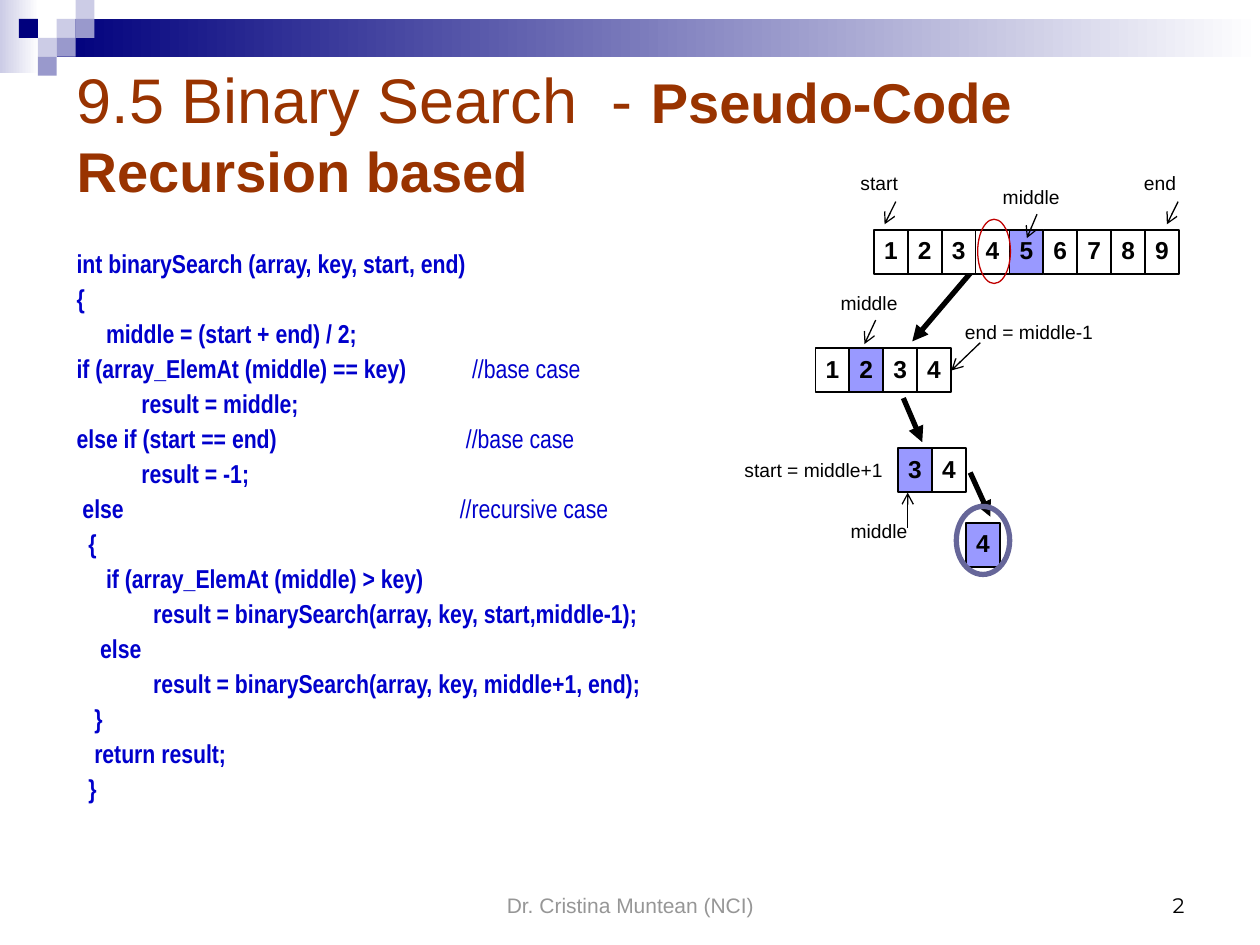
from dataclasses import dataclass

import pptx
import pptx.dml.color
import pptx.enum.shapes
import pptx.enum.text
import pptx.oxml
import pptx.oxml.ns
import pptx.util
from pptx.util import Pt

SHAPES = pptx.enum.shapes.MSO_SHAPE
ALIGN = pptx.enum.text.PP_ALIGN
ANCHOR = pptx.enum.text.MSO_ANCHOR


@dataclass(frozen=True)
class Theme:
    font: str = "Arial"
    code_font: str = "Arial Narrow"
    number_font: str = "Montserrat"
    navy: str = "00007D"
    pale: str = "CCCCE6"
    mid: str = "9999CC"
    white: str = "FFFFFF"
    black: str = "000000"
    grey: str = "969696"
    title: str = "993300"
    code: str = "0000CC"
    highlight: str = "9999FF"
    found: str = "666699"
    target: str = "C00000"
    title_size: float = 36
    subtitle_size: float = 32
    code_size: float = 14.8
    cell_size: float = 14
    footer_size: float = 12
    label_size: float = 11


THEME = Theme()
SQUARE = 10.8
CELL_WIDTH, CELL_HEIGHT = 19.36, 25.2

CODE = [
    ("int binarySearch (array, key, start, end)", "", 0),
    ("{", "", 0),
    ("     middle = (start + end) / 2;", "", 0),
    ("if (array_ElemAt (middle) == key)", "//base case", 226),
    ("           result = middle;", "", 0),
    ("else if (start == end)", "//base case", 222.5),
    ("           result = -1;", "", 0),
    (" else", "//recursive case", 219),
    ("  {", "", 0),
    ("     if (array_ElemAt (middle) > key)", "", 0),
    ("             result = binarySearch(array, key, start,middle-1);", "", 0),
    ("    else", "", 0),
    ("             result = binarySearch(array, key, middle+1, end);", "", 0),
    ("   }", "", 0),
    ("   return result;", "", 0),
    ("  }", "", 0),
]


def rgb(color):
    return pptx.dml.color.RGBColor.from_string(color)


def style(span, size, color, font=THEME.font, bold=False):
    span.font.size = Pt(size)
    span.font.name = font
    span.font.bold = bold
    span.font.color.rgb = rgb(color)


def add_shape(page, kind, left, top, width, height, fill=None, line=None, weight=1):
    shape = page.shapes.add_shape(kind, Pt(left), Pt(top), Pt(width), Pt(height))
    shape.shadow.inherit = False
    if fill:
        shape.fill.solid()
        shape.fill.fore_color.rgb = rgb(fill)
    else:
        shape.fill.background()
    if line:
        shape.line.color.rgb = rgb(line)
        shape.line.width = Pt(weight)
    else:
        shape.line.fill.background()
    return shape


def add_fade(page, left, top, width, height, color):
    bar = add_shape(page, SHAPES.RECTANGLE, left, top, width, height)
    bar.fill.gradient()
    bar.fill.gradient_angle = 0
    for stop, shade in zip(bar.fill.gradient_stops, (color, THEME.white)):
        stop.color.rgb = rgb(shade)


def add_box(page, left, top, width, height, anchor=ANCHOR.TOP):
    box = page.shapes.add_textbox(Pt(left), Pt(top), Pt(width), Pt(height))
    box.text_frame.word_wrap = True
    box.text_frame.vertical_anchor = anchor
    return box


def add_text(page, text, left, top, width, height, size, color,
             font=THEME.font, align=ALIGN.LEFT, anchor=ANCHOR.TOP):
    para = add_box(page, left, top, width, height, anchor).text_frame.paragraphs[0]
    para.text = text
    para.alignment = align
    style(para.runs[0], size, color, font)


def add_label(page, text, left, top, width=54):
    add_text(page, text, left, top, width, 20.6, THEME.label_size, THEME.black)


def add_arrow(page, start, end, weight=0.75, head="arrow"):
    arrow = page.shapes.add_connector(
        pptx.enum.shapes.MSO_CONNECTOR.STRAIGHT, *(Pt(value) for value in start + end))
    arrow.line.color.rgb = rgb(THEME.black)
    arrow.line.width = Pt(weight)
    tip = pptx.oxml.ns.qn("a:tailEnd")
    arrow.line._get_or_add_ln().makeelement
    arrow.line._get_or_add_ln().append(pptx.oxml.parse_xml(
        f'<a:tailEnd {pptx.oxml.ns.nsdecls("a")} type="{head}"/>'))
    arrow._element.spPr.append(pptx.oxml.parse_xml(
        f'<a:effectLst {pptx.oxml.ns.nsdecls("a")}/>'))


def add_array(page, left, top, values, middle):
    for index, value in enumerate(values):
        fill = THEME.highlight if value == middle else THEME.white
        cell = add_shape(page, SHAPES.RECTANGLE, left + index * CELL_WIDTH, top,
                         CELL_WIDTH, CELL_HEIGHT, fill, THEME.black)
        frame = cell.text_frame
        frame.word_wrap = False
        frame.vertical_anchor = ANCHOR.MIDDLE
        para = frame.paragraphs[0]
        para.text = str(value)
        para.alignment = ALIGN.CENTER
        para.line_spacing = 0.9
        style(para.runs[0], THEME.cell_size, THEME.black, bold=True)


def add_banner(page):
    add_fade(page, 0, 0, 22.3, 41.8, THEME.pale)
    add_fade(page, 3 * SQUARE, SQUARE, 687.6, 21.6, THEME.navy)
    squares = [(3, 1, THEME.pale), (4, 0, THEME.pale), (4, 1, THEME.mid),
               (2, 2, THEME.pale), (1, 1, THEME.navy), (3, 2, THEME.mid),
               (2, 3, THEME.mid)]
    for column, row, color in squares:
        add_shape(page, SHAPES.RECTANGLE, column * SQUARE, row * SQUARE,
                  SQUARE, SQUARE, color)


def add_title(page):
    box = add_box(page, 36.7, 28.1, 648, 95, ANCHOR.MIDDLE)
    para = box.text_frame.paragraphs[0]
    para.text = "9.5 Binary Search  - "
    style(para.runs[0], THEME.title_size, THEME.title)
    for index, text in enumerate(("Pseudo-Code", "Recursion based")):
        if index:
            para.add_line_break()
        span = para.add_run()
        span.text = text
        style(span, THEME.subtitle_size, THEME.title, bold=True)


def add_code(page):
    frame = add_box(page, 36.7, 139.7, 429, 362.9).text_frame
    for index, (code, comment, stop) in enumerate(CODE):
        para = frame.add_paragraph() if index else frame.paragraphs[0]
        para.line_spacing = Pt(16)
        para.space_before = Pt(4 if index else 0)
        para.text = code
        style(para.runs[0], THEME.code_size, THEME.code, THEME.code_font, True)
        if comment:
            para._p.get_or_add_pPr().append(pptx.oxml.parse_xml(
                f'<a:tabLst {pptx.oxml.ns.nsdecls("a")}>'
                f'<a:tab pos="{Pt(stop)}" algn="l"/></a:tabLst>'))
            span = para.add_run()
            span.text = "\t" + comment
            style(span, THEME.code_size, THEME.code, THEME.code_font)


def add_search_diagram(page):
    add_array(page, 466, 198.9, range(1, 5), 2)
    add_array(page, 513.2, 256, range(3, 5), 3)
    add_array(page, 552, 298.8, [4], 4)
    for start, end in [((554.4, 156.2), (521.3, 195.1)),
                       ((516.2, 227.5), (527, 252.7)),
                       ((554.4, 270), (565.9, 295.2))]:
        add_arrow(page, start, end, 3, "triangle")
    add_array(page, 499.4, 131.3, range(1, 10), 5)
    add_shape(page, SHAPES.OVAL, 546.5, 289.4, 30.5, 38.9, line=THEME.found, weight=3)
    add_shape(page, SHAPES.OVAL, 558.7, 125.3, 18.7, 36.7, line=THEME.target, weight=0.75)

    for text, left, top, start, end in [
            ("middle", 565.9, 102.2, (592.6, 122.4), (586.8, 136.1)),
            ("middle", 473.3, 162.7, (500.4, 182.9), (494, 196.6)),
            ("middle", 479, 293, (518.7, 301.7), (518.7, 281.5)),
            ("start", 484.6, 94.3, (511.9, 115.2), (505.5, 128.2)),
            ("end", 646.6, 94.3, (673.2, 115.2), (666.8, 128.2))]:
        add_label(page, text, left, top)
        add_arrow(page, start, end)
    add_label(page, "end = middle-1", 544.3, 179.3, 120.2)
    add_arrow(page, (560.2, 195.8), (543.6, 211.7))
    add_label(page, "start = middle+1", 418.3, 258.5, 111.6)


def main():
    deck = pptx.Presentation()
    deck.slide_width, deck.slide_height = Pt(720), Pt(540)
    page = deck.slides.add_slide(deck.slide_layouts[6])
    add_banner(page)
    add_text(page, "Dr. Cristina Muntean (NCI)", 246.2, 491.8, 228.2, 36,
             THEME.footer_size, THEME.grey, align=ALIGN.CENTER, anchor=ANCHOR.BOTTOM)
    add_text(page, "2", 516.2, 491.8, 167.8, 36, THEME.footer_size, THEME.black,
             THEME.number_font, ALIGN.RIGHT, ANCHOR.BOTTOM)
    add_title(page)
    add_code(page)
    add_search_diagram(page)
    deck.save("out.pptx")


if __name__ == "__main__":
    main()
